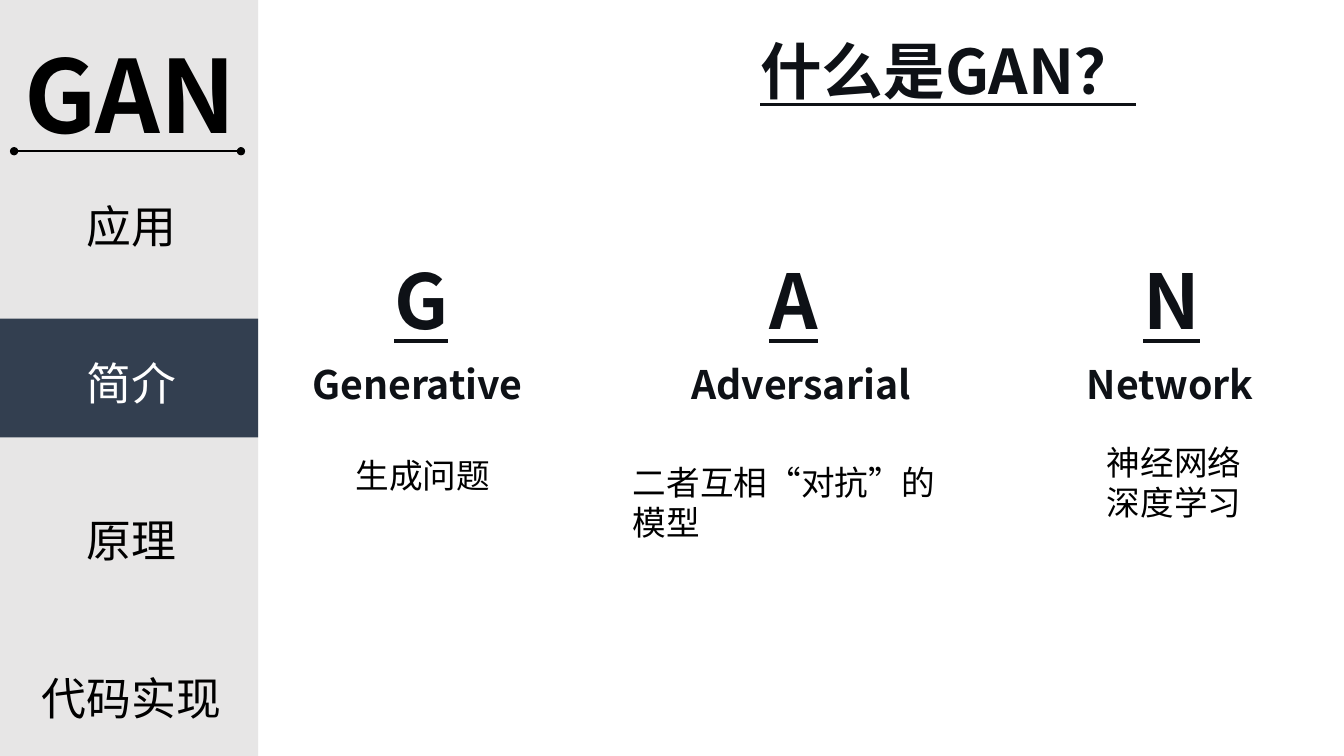
from lxml.etree import SubElement
from pptx import Presentation
from pptx.dml.color import RGBColor
from pptx.enum.shapes import MSO_CONNECTOR as Connector, MSO_SHAPE as Shape
from pptx.enum.text import MSO_ANCHOR as Anchor, MSO_AUTO_SIZE as AutoSize, PP_ALIGN as Align
from pptx.oxml.ns import qn
from pptx.util import Emu, Pt

PX = 9144
HEADING_FONT, BODY_FONT = "Noto Sans CJK SC", "Calibri"
INK, BLACK, WHITE = "0E1116", "000000", "FFFFFF"
PANEL, ACTIVE = "E7E6E6", "333F50"
PANEL_WIDTH = 256


def px(length):
    """Turn hundredths of an inch into EMU."""
    return Emu(length * PX)


def rgb(value):
    """Return the colour for a hex string."""
    return RGBColor.from_string(value)


def write(box, text, size, font=HEADING_FONT, color=INK, bold=False,
          underline=False, align=Align.LEFT, indent=0, wrap=False):
    """Fill a box with formatted text, one paragraph a line."""
    frame = box.text_frame
    frame.word_wrap = wrap
    frame.auto_size = AutoSize.SHAPE_TO_FIT_TEXT
    frame.vertical_anchor = Anchor.TOP
    frame.text = text
    for paragraph in frame.paragraphs:
        paragraph.alignment = align
        paragraph.line_spacing = 1.0
        paragraph.space_before = Pt(0)
        if indent:
            paragraph._p.get_or_add_pPr().set("marL", str(px(indent)))
        for run in paragraph.runs:
            run.font.size = Pt(size)
            run.font.name = font
            run.font.bold = bold
            run.font.underline = underline
            run.font.color.rgb = rgb(color)
            SubElement(run.font._element, qn("a:ea"), typeface=HEADING_FONT)


def add_label(slide, text, left, top, width, height, **style):
    """Add a text box at the given place."""
    box = slide.shapes.add_textbox(px(left), px(top), px(width), px(height))
    write(box, text, **style)


def add_block(slide, top, height, color):
    """Add a plain rectangle across the sidebar."""
    block = slide.shapes.add_shape(Shape.RECTANGLE, 0, px(top), px(PANEL_WIDTH), px(height))
    block.shadow.inherit = False
    block.fill.solid()
    block.fill.fore_color.rgb = rgb(color)
    block.line.fill.background()


def add_divider(slide, left, right, y):
    """Add a horizontal line with round ends."""
    divider = slide.shapes.add_connector(Connector.STRAIGHT, px(left), px(y), px(right), px(y))
    divider.line.color.rgb = rgb(BLACK)
    divider.line.width = Pt(1.5)
    outline = divider.line._get_or_add_ln()
    for end in ("a:headEnd", "a:tailEnd"):
        SubElement(outline, qn(end), type="oval")
    SubElement(divider._element.spPr, qn("a:effectLst"))


def add_sidebar(slide):
    """Draw the navigation panel with its current section marked."""
    add_block(slide, 0, 750, PANEL)
    add_block(slide, 316, 118, ACTIVE)
    add_label(slide, "GAN", 0, 28, 258, 131, size=72, color=BLACK, bold=True,
              align=Align.CENTER, wrap=True)
    add_divider(slide, 14, 239, 150)
    sections = [("应用", 118), ("简介", 118), ("原理", 118), ("代码实现", 207)]
    for index, (section, width) in enumerate(sections):
        add_label(slide, section, 126 - width // 2, 192 + index * 156, width, 64, size=32,
                  color=WHITE if section == "简介" else BLACK,
                  align=Align.CENTER, indent=8, wrap=True)


def add_term(slide, initial, word, meaning):
    """Add one letter of the acronym with its word and meaning."""
    letter, left, width = initial
    add_label(slide, letter, left, 247, width, 101, size=54, bold=True, underline=True)
    name, left, width = word
    add_label(slide, name, left, 353, width, 57, size=28, bold=True)
    text, left, top, width, height = meaning
    add_label(slide, text, left, top, width, height, size=24, font=BODY_FONT, color=BLACK)


def main():
    """Build and save the slide."""
    deck = Presentation()
    deck.slide_width, deck.slide_height = px(1333), px(750)
    slide = deck.slides.add_slide(deck.slide_layouts[5])

    title = slide.shapes.title
    title.left, title.top, title.width, title.height = px(744), px(28), px(410), px(84)
    write(title, "什么是GAN？", size=44, bold=True, underline=True, wrap=True)

    add_term(slide, ("G", 381, 78), ("Generative", 300, 241),
             ("生成问题", 343, 446, 155, 50))
    add_term(slide, ("A", 753, 78), ("Adversarial", 676, 256),
             ("二者互相“对抗”的模型", 618, 453, 347, 50))
    add_term(slide, ("N", 1124, 83), ("Network", 1068, 195),
             ("神经网络\n深度学习", 1088, 433, 155, 91))
    add_sidebar(slide)
    deck.save("out.pptx")


if __name__ == "__main__":
    main()
